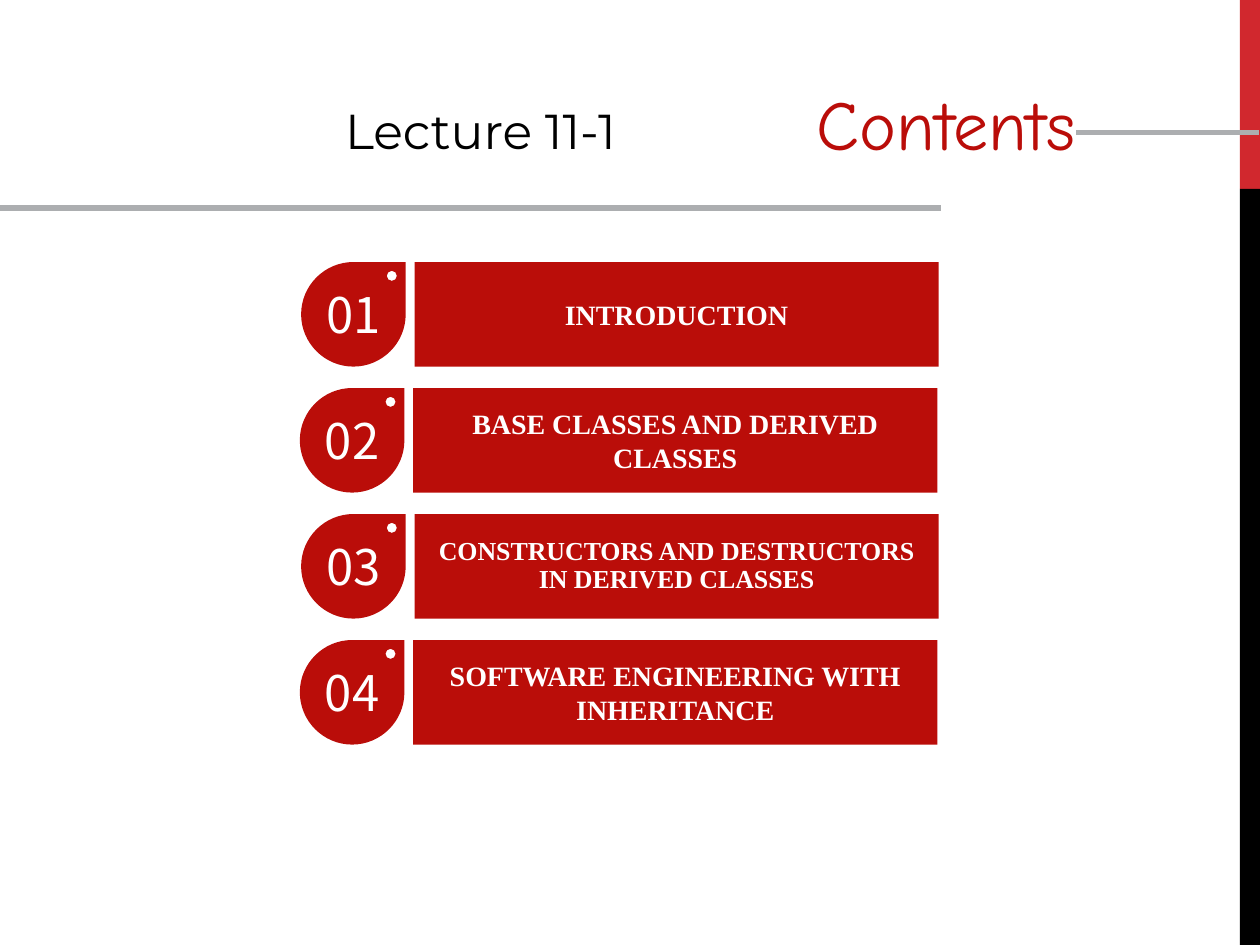
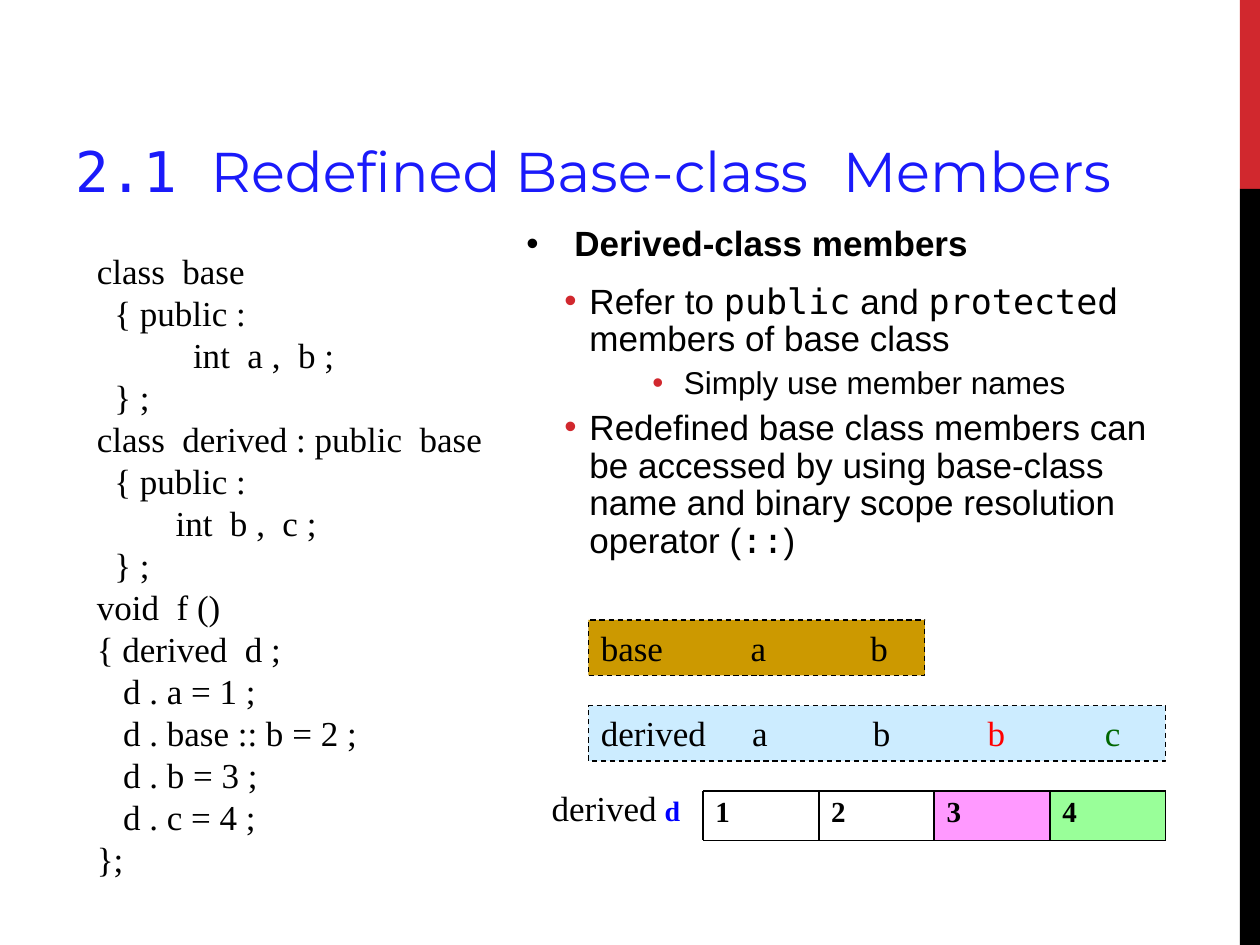
import pptx
import pptx.dml.color
import pptx.enum.dml
import pptx.enum.shapes
import pptx.enum.text
import pptx.oxml.ns
import pptx.util
from lxml import etree

Inches, Pt = pptx.util.Inches, pptx.util.Pt
RGB = pptx.dml.color.RGBColor
ALIGN = pptx.enum.text.PP_ALIGN
ANCHOR = pptx.enum.text.MSO_ANCHOR
RECT = pptx.enum.shapes.MSO_SHAPE.RECTANGLE
LINE = pptx.enum.shapes.MSO_CONNECTOR.STRAIGHT
qn = pptx.oxml.ns.qn

BLACK, WHITE = RGB(0, 0, 0), RGB(255, 255, 255)
RED, CRIMSON = RGB(0xD1, 0x28, 0x2E), RGB(0xBA, 0x0D, 0x09)
GREY, BLUE = RGB(0xAC, 0xAE, 0xB0), RGB(0x1A, 0x1A, 0xFA)
GOLD, SKY = RGB(0xCC, 0x99, 0), RGB(0xCC, 0xEC, 0xFF)
PINK, MINT = RGB(0xFF, 0x99, 0xFF), RGB(0x99, 0xFF, 0x99)
PURE_RED, GREEN, PURE_BLUE = RGB(255, 0, 0), RGB(0, 0x66, 0), RGB(0, 0, 255)

SERIF, SANS, MONO = "Times New Roman", "Arial", "DejaVu Sans Mono"
HEAD, HAND, DIGIT = "Montserrat", "Comic Neue", "Noto Sans CJK JP"


def write(para, text, font=SERIF, size=20, color=BLACK, bold=False, track=0):
    """Add a run; track is extra letter spacing in points."""
    run = para.add_run()
    run.text = text
    run.font.name, run.font.size = font, Pt(size)
    run.font.color.rgb, run.font.bold = color, bold
    if track:
        run.font._element.set("spc", str(track * 100))


def draw(slide, start, end, color, width):
    """Draw a straight line between two points in inches."""
    line = slide.shapes.add_connector(LINE, *map(Inches, start + end))
    line.line.color.rgb, line.line.width = color, Pt(width)
    etree.SubElement(line._element.spPr, qn("a:effectLst"))


deck = pptx.Presentation()
deck.slide_width, deck.slide_height = Inches(10), Inches(7.5)
layout = deck.slide_layouts[5]

slides = []
for place in [(5.01, 0.73, 3.63, 1.16), (0.5, 0.17, 9.25, 1.5)]:
    slide = deck.slides.add_slide(layout)
    title = slide.shapes.title
    title.left, title.top, title.width, title.height = map(Inches, place)
    title.text_frame.auto_size = pptx.enum.text.MSO_AUTO_SIZE.NONE
    slides.append(slide)
first, second = slides

# Side bands, moved to the shared layout
for num, (top, height, color) in enumerate([(0, 1.5, RED), (1.5, 6, BLACK)]):
    band = first.shapes.add_shape(
        RECT, Inches(9.84), Inches(top), Inches(0.16), Inches(height))
    band.shadow.inherit = False
    band.fill.solid()
    band.fill.fore_color.rgb = color
    band.line.fill.background()
    band._element.nvSpPr.cNvPr.set("id", str(20 + num))
    layout.shapes._spTree.append(band._element)

# Slide 1: contents
frame = first.shapes.title.text_frame
frame.vertical_anchor = ANCHOR.MIDDLE
frame.margin_bottom = Inches(0.73)
frame.paragraphs[0].alignment = ALIGN.RIGHT
write(frame.paragraphs[0], "Contents", font=HAND, size=40, color=CRIMSON)
draw(first, (8.54, 1.05), (9.99, 1.05), GREY, 3)
draw(first, (-0.01, 1.65), (7.47, 1.65), GREY, 3)

label = first.shapes.add_textbox(
    Inches(2.64), Inches(0.75), Inches(2.46), Inches(0.57))
write(label.text_frame.paragraphs[0], "Lecture 11-1", font=HEAD, size=28)

# Unit circle as four curves of three points each, from the right
BEND = 0.55
ring = []
for x, y in [(1, 0), (0, 1), (-1, 0), (0, -1)]:
    ring += [(x - BEND * y, y + BEND * x), (BEND * x - y, BEND * y + x), (-y, x)]

topics = [
    ("INTRODUCTION", 16, 1),
    ("BASE CLASSES AND DERIVED CLASSES", 16, 1),
    ("CONSTRUCTORS AND DESTRUCTORS IN DERIVED CLASSES", 14.8, 0.9),
    ("SOFTWARE ENGINEERING WITH INHERITANCE", 16, 1),
]
SIDE, DOT = 0.83, 0.04
RAD = SIDE / 2
for row, (topic, size, space) in enumerate(topics):
    left, top = 2.39 - 0.01 * (row % 2), 2.08 + row
    # Drop: three quarters of a circle and a square corner, with a round hole
    drop = [(left + RAD + RAD * x, top + RAD + RAD * y) for x, y in ring[:9]]
    drop.append((left + SIDE, top))
    hole = [(left + 0.72 + DOT * x, top + 0.11 - DOT * y) for x, y in ring]
    pen = first.shapes.build_freeform(Inches(left + SIDE), Inches(top + RAD))
    pen.add_line_segments([tuple(map(Inches, spot)) for spot in drop])
    pen.move_to(*map(Inches, hole[-1]))
    pen.add_line_segments([tuple(map(Inches, spot)) for spot in hole])
    badge = pen.convert_to_shape()
    # Join the points of each curve, leaving the corner straight
    steps = list(badge._element.iter(qn("a:lnTo")))
    for start in (0, 3, 6, 10, 13, 16, 19):
        curve = etree.Element(qn("a:cubicBezTo"))
        steps[start].addprevious(curve)
        for step in steps[start:start + 3]:
            curve.append(step[0])
            step.getparent().remove(step)
    bar = first.shapes.add_shape(
        RECT, Inches(left + 0.9), Inches(top), Inches(4.16), Inches(SIDE))
    for shape in (badge, bar):
        shape.shadow.inherit = False
        shape.fill.solid()
        shape.fill.fore_color.rgb = CRIMSON
        shape.line.fill.background()
        shape.text_frame.word_wrap = True
        shape.text_frame.vertical_anchor = ANCHOR.MIDDLE
        shape.text_frame.paragraphs[0].alignment = ALIGN.CENTER
    write(badge.text_frame.paragraphs[0], f"{row + 1:02}",
          font=DIGIT, size=28, color=WHITE)
    para = bar.text_frame.paragraphs[0]
    para.line_spacing = space
    write(para, topic, size=size, color=WHITE, bold=True)

# Slide 2: title
frame = second.shapes.title.text_frame
frame.vertical_anchor = ANCHOR.BOTTOM
para = frame.paragraphs[0]
para.alignment = ALIGN.LEFT
for text, font, track in [("2.1 ", MONO, 0), ("Redefined Base-class", HEAD, 0),
                          (" ", HEAD, 11), ("Members", HEAD, 0)]:
    write(para, text, font=font, size=32, color=BLUE, track=track)

# Bullets: indent, hang, space before, space after, size, bullet colour, runs
points = [
    (0.38, 0.38, 0, 6, 20, BLACK, [("Derived-class members", SANS)]),
    (0.5, 0.2, 5, 0, 20, RED, [
        ("Refer to ", SANS), ("public", MONO), (" and ", SANS),
        ("protected", MONO), (" members of base class", SANS)]),
    (1.25, 0.25, 4.5, 0, 18, RED, [("Simply use member names", SANS)]),
    (0.5, 0.2, 5, 0, 20, RED, [
        ("Redefined base class members can be accessed by using base-class "
         "name and binary scope resolution operator (", SANS),
        ("::", MONO), (")", SANS)]),
]
body = second.shapes.add_textbox(
    Inches(4.08), Inches(1.75), Inches(5.42), Inches(5.25)).text_frame
body.word_wrap = True
for num, (indent, hang, before, after, size, color, runs) in enumerate(points):
    para = body.add_paragraph() if num else body.paragraphs[0]
    props = para._p.get_or_add_pPr()
    props.set("marL", str(Inches(indent)))
    props.set("indent", str(-Inches(hang)))
    tint = etree.SubElement(props, qn("a:buClr"))
    etree.SubElement(tint, qn("a:srgbClr"), val=str(color))
    etree.SubElement(props, qn("a:buFont"), typeface=SANS)
    etree.SubElement(props, qn("a:buChar"), char="•")
    para.line_spacing = 0.9
    para.space_before, para.space_after = Pt(before), Pt(after)
    for text, font in runs:
        write(para, text, font=font, size=size, bold=num == 0)

# Code listing
CODE = """class  base
  { public :
           int  a ,  b ;
  } ;
class  derived : public  base
  { public :
         int  b ,  c ;
  } ;
void  f ()
{ derived  d ;
   d . a = 1 ;
   d . base :: b = 2 ;
   d . b = 3 ;
   d . c = 4 ;
};"""
frame = second.shapes.add_textbox(
    Inches(0.67), Inches(1.93), Inches(3.92), Inches(5.1)).text_frame
frame.word_wrap = True
for num, text in enumerate(CODE.split("\n")):
    para = frame.add_paragraph() if num else frame.paragraphs[0]
    para.alignment = ALIGN.JUSTIFY
    write(para, text)

# Class layouts, with members on tab stops
strips = [
    (4.92, 2.67, GOLD, (1.19, 2.14),
     [("base", BLACK), ("a", BLACK), ("b", BLACK)]),
    (5.6, 4.58, SKY, (1.2, 2.16, 3.07, 4),
     [("derived", BLACK), ("a", BLACK), ("b", BLACK),
      ("b", PURE_RED), ("c", GREEN)]),
]
for top, width, fill, stops, names in strips:
    strip = second.shapes.add_shape(
        RECT, Inches(4.67), Inches(top), Inches(width), Inches(0.44))
    strip.shadow.inherit = False
    strip.fill.solid()
    strip.fill.fore_color.rgb = fill
    strip.line.color.rgb, strip.line.width = BLACK, Pt(0.75)
    strip.line.dash_style = pptx.enum.dml.MSO_LINE.DASH
    strip.text_frame.vertical_anchor = ANCHOR.TOP
    para = strip.text_frame.paragraphs[0]
    para.alignment = ALIGN.LEFT
    tabs = etree.SubElement(para._p.get_or_add_pPr(), qn("a:tabLst"))
    for stop in stops:
        etree.SubElement(tabs, qn("a:tab"), pos=str(Inches(stop)), algn="l")
    for num, (name, color) in enumerate(names):
        write(para, "\t" + name if num else name, color=color)

# Memory cells of d
LEFT, TOP, RIGHT, BASE = 5.58, 6.28, 9.25, 6.67
pitch = (RIGHT - LEFT) / 4
for num, fill in enumerate([WHITE, WHITE, PINK, MINT]):
    cell = second.shapes.add_shape(
        RECT, Inches(LEFT + num * pitch), Inches(TOP),
        Inches(pitch), Inches(BASE - TOP))
    cell.shadow.inherit = False
    cell.fill.solid()
    cell.fill.fore_color.rgb = fill
    cell.line.fill.background()
    cell.text_frame.vertical_anchor = ANCHOR.TOP
    para = cell.text_frame.paragraphs[0]
    para.alignment, para.line_spacing = ALIGN.LEFT, 0.9
    write(para, str(num + 1), size=16.6, bold=True)
for num in range(5):
    edge = LEFT + num * pitch
    draw(second, (edge, TOP), (edge, BASE), BLACK, 1)
for edge in (TOP, BASE):
    draw(second, (LEFT, edge), (RIGHT, edge), BLACK, 1)

label = second.shapes.add_textbox(
    Inches(4.28), Inches(6.19), Inches(1.22), Inches(0.44))
para = label.text_frame.paragraphs[0]
write(para, "derived")
write(para, " ", size=18, bold=True)
write(para, "d", size=16, color=PURE_BLUE, bold=True)

deck.save("out.pptx")
